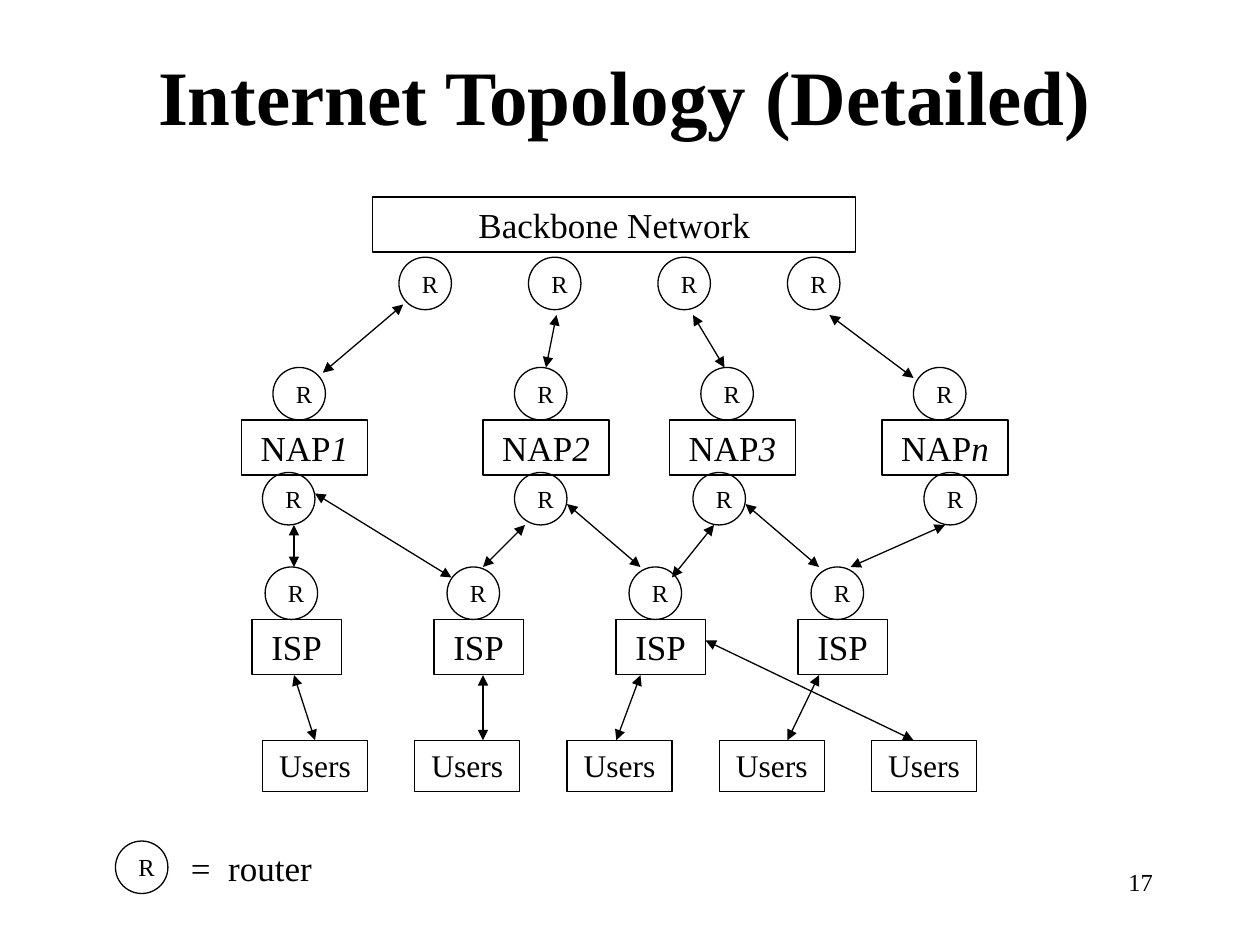
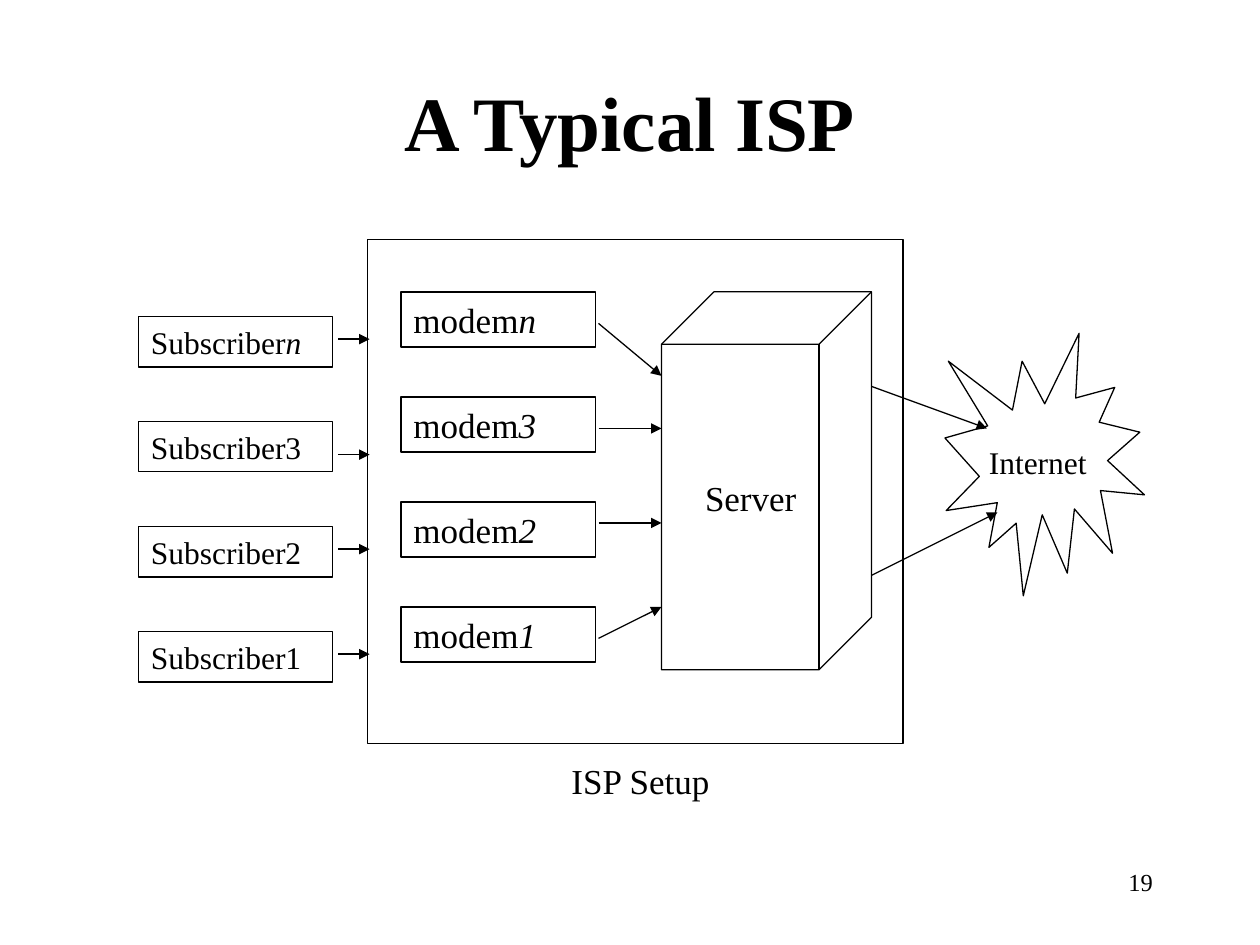
from dataclasses import dataclass
from typing import NamedTuple

from lxml import etree
from pptx import Presentation
from pptx.dml.color import RGBColor
from pptx.enum.shapes import MSO_CONNECTOR, MSO_SHAPE
from pptx.enum.text import MSO_ANCHOR, MSO_AUTO_SIZE, PP_ALIGN
from pptx.oxml.ns import qn
from pptx.util import Inches, Pt

RECT, OVAL = MSO_SHAPE.RECTANGLE, MSO_SHAPE.OVAL
CUBE, BURST = MSO_SHAPE.CUBE, MSO_SHAPE.EXPLOSION1
STRAIGHT = MSO_CONNECTOR.STRAIGHT
LEFT, CENTER, RIGHT = PP_ALIGN.LEFT, PP_ALIGN.CENTER, PP_ALIGN.RIGHT
TOP, MIDDLE = MSO_ANCHOR.TOP, MSO_ANCHOR.MIDDLE
NO_AUTOFIT = MSO_AUTO_SIZE.NONE

# Grid of 120 columns by 90 rows over the slide
SLIDE_WIDTH, SLIDE_HEIGHT = Inches(10), Inches(7.5)
COLUMNS, ROWS = 120, 90
TITLE_ONLY_LAYOUT = 5


@dataclass(frozen=True)
class Theme:
    font: str = "Times New Roman"
    ink: RGBColor = RGBColor(0, 0, 0)
    line_width: float = 0.75
    title: int = 44
    label: int = 20
    small_label: int = 18
    router: int = 14
    page: int = 14


THEME = Theme()


class Area(NamedTuple):
    col: float
    row: float
    cols: float
    rows: float

    def emu(self) -> tuple[int, int, int, int]:
        return (x(self.col), y(self.row), x(self.cols), y(self.rows))


class Link(NamedTuple):
    from_col: float
    from_row: float
    to_col: float
    to_row: float


class Label(NamedTuple):
    text: str
    size: int = THEME.label
    align: PP_ALIGN = CENTER
    italic_end: str = ""
    bold: bool = False


class Nap(NamedTuple):
    suffix: str
    col: float
    lower_router_col: float


def x(cols: float) -> int:
    return round(SLIDE_WIDTH * cols / COLUMNS)


def y(rows: float) -> int:
    return round(SLIDE_HEIGHT * rows / ROWS)


# Drawing helpers
def write(shape, label: Label, anchor: MSO_ANCHOR = TOP) -> None:
    frame = shape.text_frame
    frame.word_wrap = True
    frame.auto_size = NO_AUTOFIT
    frame.vertical_anchor = anchor
    paragraph = frame.paragraphs[0]
    paragraph.text = label.text
    paragraph.alignment = label.align
    if label.italic_end:
        ending = paragraph.add_run()
        ending.text = label.italic_end
        ending.font.italic = True
    for run in paragraph.runs:
        run.font.name = THEME.font
        run.font.size = Pt(label.size)
        run.font.bold = label.bold
        run.font.color.rgb = THEME.ink


def add_outline(slide, kind: MSO_SHAPE, area: Area, label: Label | None = None) -> None:
    shape = slide.shapes.add_shape(kind, *area.emu())
    shape.shadow.inherit = False
    shape.fill.background()
    shape.line.color.rgb = THEME.ink
    shape.line.width = Pt(THEME.line_width)
    if label:
        write(shape, label)


def add_text(slide, area: Area, label: Label) -> None:
    write(slide.shapes.add_textbox(*area.emu()), label)


def add_arrow(slide, link: Link, both_ways: bool = False) -> None:
    arrow = slide.shapes.add_connector(
        STRAIGHT, x(link.from_col), y(link.from_row), x(link.to_col), y(link.to_row))
    arrow.line.color.rgb = THEME.ink
    arrow.line.width = Pt(THEME.line_width)
    outline = arrow.line._get_or_add_ln()
    for end in ("a:headEnd", "a:tailEnd") if both_ways else ("a:tailEnd",):
        etree.SubElement(outline, qn(end), type="triangle")
    etree.SubElement(arrow._element.spPr, qn("a:effectLst"))


def add_router(slide, col: float, row: float) -> None:
    add_outline(slide, OVAL, Area(col, row, 5, 5))
    add_text(slide, Area(col + 1, row + 0.5, 5, 4), Label("R", THEME.router, LEFT))


def add_titled_slide(deck, title: str, title_area: Area, page: int):
    slide = deck.slides.add_slide(deck.slide_layouts[TITLE_ONLY_LAYOUT])
    heading = slide.shapes.title
    heading.left, heading.top, heading.width, heading.height = title_area.emu()
    write(heading, Label(title, THEME.title, bold=True), MIDDLE)
    add_text(slide, Area(86, 82, 25, 6), Label(str(page), THEME.page, RIGHT))
    return slide


# Slide: backbone, access points, providers and users
NAPS = (Nap("1", 23, 25), Nap("2", 46, 49), Nap("3", 63.75, 66), Nap("n", 84, 88))
TOPOLOGY_LINKS = (
    # Backbone to NAP
    Link(38.4, 29, 30.75, 35.5), Link(53, 30, 52, 35),
    Link(66, 30, 69, 35), Link(79, 30, 87, 36),
    # NAP to ISP
    Link(28, 50, 28, 54), Link(46, 54, 50, 50), Link(64, 55, 68, 50),
    Link(81, 54, 90, 50), Link(30, 47, 43, 55), Link(54, 48, 61, 54),
    Link(71, 48, 78, 54),
    # ISP to users
    Link(28, 64.3, 30, 70.5), Link(46, 64.3, 46, 70.5),
    Link(61, 64.3, 58.7, 70.5), Link(78, 64.3, 75, 70.5),
    Link(67.2, 61, 87, 70.5),
)


def build_topology(deck) -> None:
    slide = add_titled_slide(deck, "Internet Topology (Detailed)", Area(7, 4, 105, 10), 17)
    add_outline(slide, RECT, Area(35.5, 18.75, 46, 5.25), Label("Backbone Network"))
    for i in range(4):
        add_router(slide, 38 + i * 37 / 3, 24.5)
    for nap in NAPS:
        add_outline(slide, RECT, Area(nap.col, 40, 12, 5.25),
                    Label("NAP", italic_end=nap.suffix))
        add_router(slide, nap.col + 3, 35)
        add_router(slide, nap.lower_router_col, 45)
    for i in range(4):
        isp_col = 24 + i * 52 / 3
        add_outline(slide, RECT, Area(isp_col, 59, 8.5, 5.25), Label("ISP"))
        add_router(slide, isp_col + 1.25, 54)
    for i in range(5):
        add_outline(slide, RECT, Area(25 + 14.5 * i, 70.5, 10, 4.9),
                    Label("Users", THEME.small_label))
    for link in TOPOLOGY_LINKS:
        add_arrow(slide, link, both_ways=True)
    # Legend
    add_router(slide, 11, 80.1)
    add_text(slide, Area(17, 80, 15, 5.2), Label("=  router", align=LEFT))


# Slide: subscribers, modems and server of one provider
SUBSCRIBERS = (("Subscriber", "n"), ("Subscriber3", ""),
               ("Subscriber2", ""), ("Subscriber1", ""))
MODEM_SUFFIXES = ("n", "3", "2", "1")
LINE_ROWS = (32.3, 43.3, 52.3, 62.3)
SERVER_LINKS = (
    # Modems to server
    Link(57, 30.8, 63, 35.8), Link(57, 40.8, 63, 40.8),
    Link(57, 49.8, 63, 49.8), Link(57, 60.8, 63, 57.8),
    # Server to Internet
    Link(83, 36.8, 94, 40.8), Link(83, 54.8, 95, 48.8),
)


def build_isp(deck) -> None:
    slide = add_titled_slide(deck, "A Typical ISP", Area(9, 6, 102, 11), 19)
    add_outline(slide, RECT, Area(35, 22.8, 51, 48))
    add_text(slide, Area(48, 71.75, 26, 5.2), Label("ISP Setup"))
    for i, (name, suffix) in enumerate(SUBSCRIBERS):
        add_outline(slide, RECT, Area(13.2, 30.15 + 10 * i, 18.5, 4.8),
                    Label(name, THEME.small_label, LEFT, suffix))
    for i, suffix in enumerate(MODEM_SUFFIXES):
        add_outline(slide, RECT, Area(38.2, 27.8 + 10 * i, 18.5, 5.25),
                    Label("modem", align=LEFT, italic_end=suffix))
    add_outline(slide, CUBE, Area(63, 27.8, 20, 36))
    add_text(slide, Area(64, 44.75, 15, 5.2), Label("Server"))
    add_outline(slide, BURST, Area(90, 31.75, 19, 25))
    add_text(slide, Area(93, 41.6, 13, 4.8), Label("Internet", THEME.small_label, LEFT))
    for row in LINE_ROWS:
        add_arrow(slide, Link(32.2, row, 35.2, row))
    for link in SERVER_LINKS:
        add_arrow(slide, link)


def main() -> None:
    deck = Presentation()
    deck.slide_width, deck.slide_height = SLIDE_WIDTH, SLIDE_HEIGHT
    build_topology(deck)
    build_isp(deck)
    deck.save("out.pptx")


if __name__ == "__main__":
    main()
